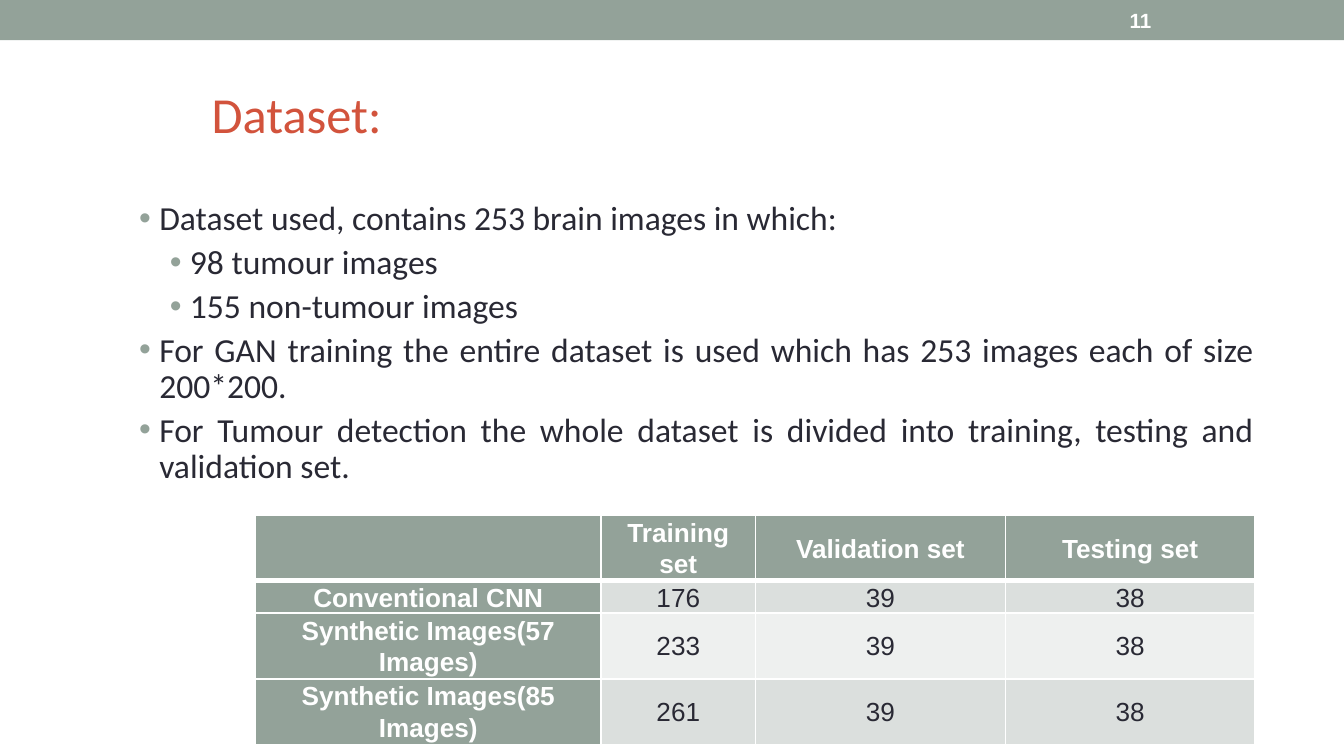
from dataclasses import dataclass

from lxml import etree
from pptx import Presentation
from pptx import util as u
from pptx.dml.color import RGBColor
from pptx.enum import shapes, text
from pptx.oxml import ns

SAGE, RUST, INK, WHITE = "93A299", "D2533C", "292934", "FFFFFF"
BANDS = ("DBDFDD", "EEF0EF")


@dataclass
class Box:
    left: float
    top: float
    width: float
    height: float

    def lengths(self) -> tuple:
        return tuple(u.Cm(v) for v in (self.left, self.top, self.width, self.height))


@dataclass
class Point:
    wording: str
    level: int = 0


@dataclass
class SplitRow:
    method: str
    training: str
    validation: str
    testing: str
    height: float

    def values(self) -> tuple:
        return self.method, self.training, self.validation, self.testing


POINTS = [
    Point("Dataset used, contains 253 brain images in which:"),
    Point("98 tumour images", 1),
    Point("155 non-tumour images", 1),
    Point("For GAN training the entire dataset is used which has 253 images each of size 200*200."),
    Point("For Tumour detection the whole dataset is divided into training, testing and validation set."),
]
SPLITS = [
    SplitRow("", "Training set", "Validation set", "Testing set", 1.24),
    SplitRow("Conventional CNN", "176", "39", "38", 0.61),
    SplitRow("Synthetic Images(57 Images)", "233", "39", "38", 1.24),
    SplitRow("Synthetic Images(85 Images)", "261", "39", "38", 1.24),
]
COLUMN_WIDTHS = (6.53, 2.92, 4.72, 4.72)


def colour(value: str) -> RGBColor:
    return RGBColor.from_string(value)


def write(paragraph, wording: str, *, size: float, hue: str, font="Arial", bold=False,
          align=text.PP_ALIGN.LEFT, line=1.0, before=0.0, margin=0.0, indent=0.0) -> None:
    paragraph.alignment = align
    paragraph.line_spacing = line
    paragraph.space_before = u.Pt(before)
    properties = paragraph._p.get_or_add_pPr()
    properties.set("marL", str(u.Cm(margin)))
    properties.set("indent", str(u.Cm(indent)))
    run = paragraph.add_run()
    run.text = wording
    run.font.name, run.font.size, run.font.bold = font, u.Pt(size), bold
    run.font.color.rgb = colour(hue)


def add_bullet(paragraph) -> None:
    properties = paragraph._p.get_or_add_pPr()
    tint = etree.SubElement(properties, ns.qn("a:buClr"))
    etree.SubElement(tint, ns.qn("a:srgbClr"), val=SAGE)
    etree.SubElement(properties, ns.qn("a:buFont"), typeface="Arial")
    etree.SubElement(properties, ns.qn("a:buChar"), char="•")


def place(holder, box: Box, anchor):
    holder.left, holder.top, holder.width, holder.height = box.lengths()
    frame = holder.text_frame
    frame.word_wrap, frame.auto_size = True, text.MSO_AUTO_SIZE.NONE
    frame.vertical_anchor = anchor
    frame.margin_left = frame.margin_right = u.Cm(0.19)
    frame.margin_top = frame.margin_bottom = u.Cm(0.1)
    return frame


def add_borders(cell, bottom: float) -> None:
    properties = cell._tc.get_or_add_tcPr()
    for side, width in (("L", 1), ("R", 1), ("T", 1), ("B", bottom)):
        edge = etree.SubElement(properties, ns.qn(f"a:ln{side}"), w=str(u.Pt(width)))
        fill = etree.SubElement(edge, ns.qn("a:solidFill"))
        etree.SubElement(fill, ns.qn("a:srgbClr"), val=WHITE)


def draw_bar(slide, box: Box) -> None:
    bar = slide.shapes.add_shape(shapes.MSO_SHAPE.RECTANGLE, *box.lengths())
    bar.shadow.inherit = False
    bar.fill.solid()
    bar.fill.fore_color.rgb = colour(SAGE)
    bar.line.fill.background()


def draw_points(body, points: list[Point]) -> None:
    frame = place(body, Box(2.44, 3.71, 21.46, 5.97), text.MSO_ANCHOR.TOP)
    for i, point in enumerate(points):
        paragraph = frame.add_paragraph() if i else frame.paragraphs[0]
        paragraph.level = point.level
        write(paragraph, point.wording, size=18, hue=INK, font="Calibri",
              align=text.PP_ALIGN.JUSTIFY, line=0.9, before=4 if i else 0,
              margin=0.38 + 0.58 * point.level, indent=-0.38)
        add_bullet(paragraph)


def draw_splits(slide, rows: list[SplitRow]) -> None:
    box = Box(4.83, 9.73, sum(COLUMN_WIDTHS), sum(row.height for row in rows))
    table = slide.shapes.add_table(len(rows), len(COLUMN_WIDTHS), *box.lengths()).table
    for column, width in zip(table.columns, COLUMN_WIDTHS):
        column.width = u.Cm(width)
    for r, row in enumerate(rows):
        table.rows[r].height = u.Cm(row.height)
        for c, value in enumerate(row.values()):
            cell = table.cell(r, c)
            heading = r == 0 or c == 0
            add_borders(cell, 1 if r else 3)
            cell.fill.solid()
            cell.fill.fore_color.rgb = colour(SAGE if heading else BANDS[(r - 1) % 2])
            cell.vertical_anchor = text.MSO_ANCHOR.MIDDLE
            cell.margin_left = cell.margin_right = u.Cm(0.15)
            cell.margin_top = cell.margin_bottom = 0
            if value:
                write(cell.text_frame.paragraphs[0], value, size=14, bold=heading,
                      hue=WHITE if heading else INK, align=text.PP_ALIGN.CENTER, line=1.07)


def main() -> None:
    deck = Presentation()
    deck.slide_width, deck.slide_height = u.Cm(25.4), u.Cm(14.28)
    slide = deck.slides.add_slide(deck.slide_layouts[1])
    draw_bar(slide, Box(0, 0, 25.4, 0.76))
    heading = place(slide.shapes.title, Box(1.27, 1.12, 22.86, 2.06), text.MSO_ANCHOR.MIDDLE)
    write(heading.paragraphs[0], "Dataset:", size=27, hue=RUST, font="Calibri", margin=2.54)
    draw_points(slide.placeholders[1], POINTS)
    page_number = place(slide.shapes.add_textbox(0, 0, 0, 0), Box(21.16, 0.03, 2.97, 0.69),
                        text.MSO_ANCHOR.MIDDLE)
    write(page_number.paragraphs[0], "11", size=11, hue=WHITE, bold=True)
    draw_splits(slide, SPLITS)
    deck.save("out.pptx")


if __name__ == "__main__":
    main()
